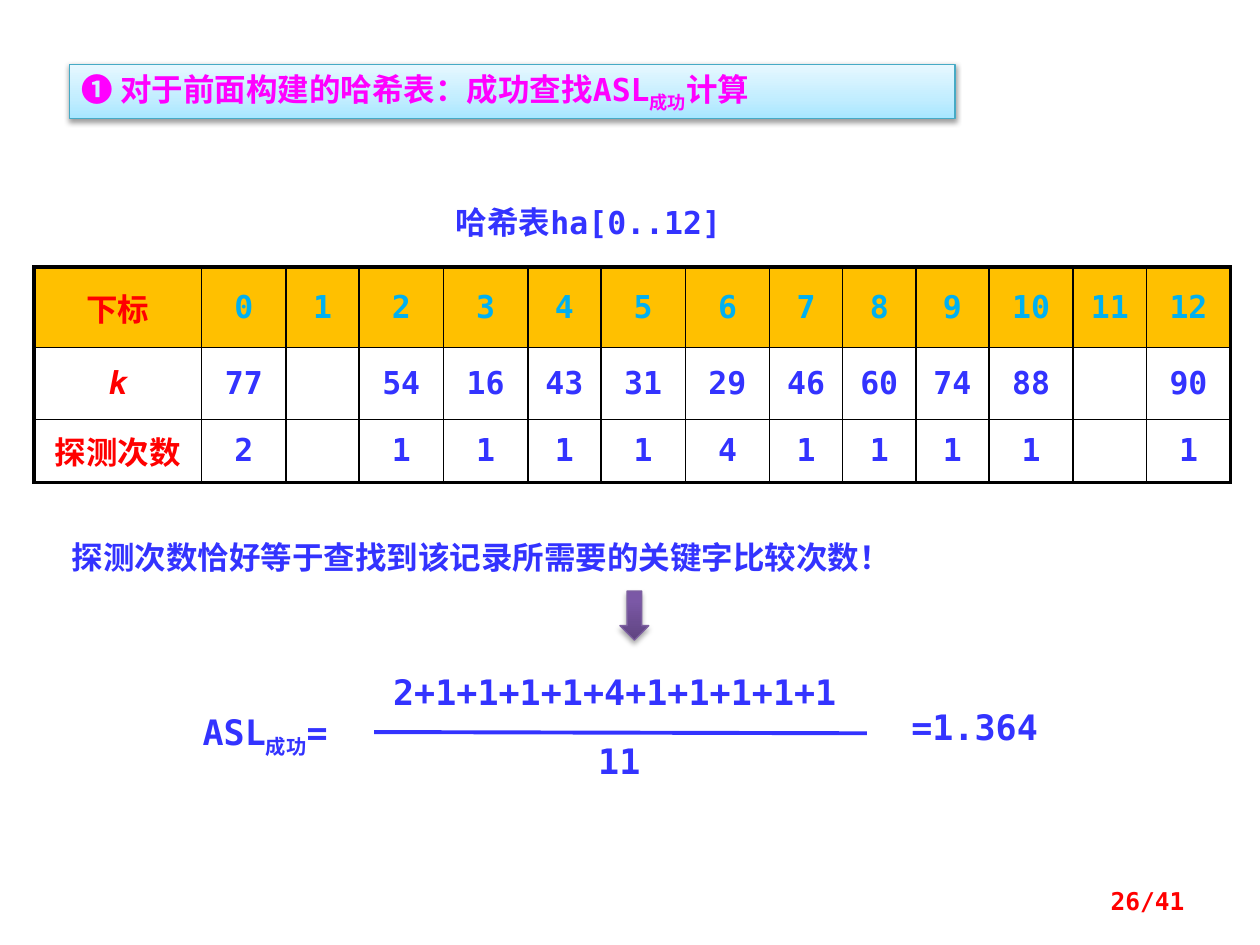
from dataclasses import dataclass
from lxml import etree
from pptx import Presentation
from pptx import util as u
from pptx.dml.color import RGBColor
from pptx.enum import shapes, text
from pptx.oxml import parse_xml
from pptx.oxml.ns import nsdecls, qn

HUES = {"ink": "3333FF", "red": "FF0000", "pink": "FF00FF", "sky": "00B0F0",
        "gold": "FFC000", "black": "000000", "teal": "46AAC5", "plum": "7D60A0"}
MONO, SANS = "DejaVu Sans Mono", "Noto Sans CJK JP"
ALIGN, MID = text.PP_ALIGN, text.MSO_ANCHOR.MIDDLE
WIDE, SLIM = 0.67, 0.58
COLS = [1.33, WIDE, SLIM, WIDE, WIDE, SLIM, WIDE, WIDE, SLIM, SLIM, SLIM, WIDE, SLIM, WIDE]
ROWS = [0.64, 0.57, 0.5]
KEYS = ["77", "", "54", "16", "43", "31", "29", "46", "60", "74", "88", "", "90"]
TRIES = ["2", "", "1", "1", "1", "1", "4", "1", "1", "1", "1", "", "1"]
DATA = [["下标"] + [str(n) for n in range(13)], ["k"] + KEYS, ["探测次数"] + TRIES]


@dataclass
class Label:
    """Text box; every second run is a subscript."""
    box: tuple
    runs: tuple
    size: int = 20
    hue: str = "ink"
    face: str = MONO
    align: ALIGN = ALIGN.CENTER
    anchor: text.MSO_ANCHOR = text.MSO_ANCHOR.TOP


@dataclass
class Block:
    """Preset shape with a gradient fill and a soft shadow."""
    kind: shapes.MSO_SHAPE
    box: tuple
    stops: tuple
    edge: str
    dist: float
    alpha: int


LABELS = [
    Label((3.52, 1.56, 2.89, 0.4), ("哈希表ha[0..12]",), 18, align=ALIGN.LEFT),
    Label((0.47, 4.22, 7.58, 0.4), ("探测次数恰好等于查找到该记录所需要的关键字比较次数！",),
          18, face=SANS, align=ALIGN.LEFT),
    Label((1.09, 5.59, 2.03, 0.44), ("ASL", "成功", "=")),
    Label((2.81, 5.27, 4.14, 0.44), ("2+1+1+1+1+4+1+1+1+1+1",)),
    Label((4.37, 5.82, 1.09, 0.44), ("11",)),
    Label((7.03, 5.55, 1.41, 0.44), ("=1.364",)),
    Label((7.17, 6.95, 2.33, 0.4), ("26/41",), 14, "red", align=ALIGN.RIGHT, anchor=MID),
]
TITLE = Label((0.55, 0.51, 7.03, 0.43), ("❶ 对于前面构建的哈希表：成功查找ASL", "成功", "计算"),
              18, "pink", align=ALIGN.JUSTIFY)
BANNER = Block(shapes.MSO_SHAPE.RECTANGLE, TITLE.box,
               ((0, "A7E6FF"), (35, "C1EDFF"), (100, "E7F8FF")), "teal", 1.6, 38)
ARROW = Block(shapes.MSO_SHAPE.DOWN_ARROW, (4.92, 4.69, 0.23, 0.39),
              ((0, "5F4480"), (80, "7B58A6"), (100, "7C57A8")), "plum", 1.8, 35)


def rgb(hue: str) -> RGBColor:
    """Look up a colour."""
    return RGBColor.from_string(HUES[hue])


def style(para, size: int, hue: str, face: str, align) -> None:
    """Set the look of a paragraph."""
    para.alignment = align
    font = para.font
    font.size, font.name, font.bold = u.Pt(size), face, True
    font.color.rgb = rgb(hue)


def write(frame, item: Label) -> None:
    """Fill a text frame from a label."""
    frame.word_wrap = True
    frame.vertical_anchor = item.anchor
    para = frame.paragraphs[0]
    for i, part in enumerate(item.runs):
        run = para.add_run()
        run.text = part
        if i % 2:
            run._r.get_or_add_rPr().set("baseline", "-25000")
    style(para, item.size, item.hue, item.face, item.align)


def draw_label(slide, item: Label) -> None:
    """Draw one text box."""
    box = slide.shapes.add_textbox(*map(u.Inches, item.box))
    write(box.text_frame, item)


def draw_block(slide, item: Block):
    """Draw one gradient shape."""
    shape = slide.shapes.add_shape(item.kind, *map(u.Inches, item.box))
    shape.line.color.rgb = rgb(item.edge)
    shape.line.width = u.Pt(0.75)
    stops = "".join(f'<a:gs pos="{pos * 1000}"><a:srgbClr val="{hue}"/></a:gs>'
                    for pos, hue in item.stops)
    grad = parse_xml(f'<a:gradFill {nsdecls("a")} rotWithShape="1"><a:gsLst>{stops}</a:gsLst>'
                     '<a:lin ang="16200000" scaled="0"/></a:gradFill>')
    props = shape._element.spPr
    props.find(qn("a:prstGeom")).addnext(grad)
    props.append(parse_xml(
        f'<a:effectLst {nsdecls("a")}><a:outerShdw blurRad="{u.Pt(3.1)}" '
        f'dist="{u.Pt(item.dist)}" dir="5400000" rotWithShape="0"><a:srgbClr val="000000">'
        f'<a:alpha val="{item.alpha * 1000}"/></a:srgbClr></a:outerShdw></a:effectLst>'))
    return shape


def edge(cell, side: str, width: float) -> None:
    """Add one border to a cell."""
    cell._tc.get_or_add_tcPr().append(parse_xml(
        f'<a:ln{side} {nsdecls("a")} w="{u.Pt(width)}"><a:solidFill>'
        f'<a:srgbClr val="{HUES["black"]}"/></a:solidFill></a:ln{side}>'))


def draw_table(slide) -> None:
    """Draw the hash table with a heavy outer frame."""
    sizes = map(u.Inches, (0.27, 2.12, sum(COLS), sum(ROWS)))
    table = slide.shapes.add_table(len(ROWS), len(COLS), *sizes).table
    table.first_row = table.horz_banding = False
    for col, width in zip(table.columns, COLS):
        col.width = u.Inches(width)
    for r, (row, high) in enumerate(zip(table.rows, ROWS)):
        row.height = u.Inches(high)
        for c, cell in enumerate(row.cells):
            outer = {"L": c == 0, "R": c == len(COLS) - 1, "T": r == 0, "B": r == len(ROWS) - 1}
            for side, heavy in outer.items():
                edge(cell, side, 2.25 if heavy else 1)
            if r == 0:
                cell.fill.solid()
                cell.fill.fore_color.rgb = rgb("gold")
            else:
                cell.fill.background()
            cell.vertical_anchor = MID
            cell.text = DATA[r][c]
            para = cell.text_frame.paragraphs[0]
            hue = "red" if c == 0 else "ink" if r else "sky"
            style(para, 18, hue, MONO, ALIGN.CENTER)
            para.font.italic = DATA[r][c] == "k"


def draw_bar(slide) -> None:
    """Draw the fraction bar."""
    ends = map(u.Inches, (2.97, 5.81, 6.88, 5.82))
    bar = slide.shapes.add_connector(shapes.MSO_CONNECTOR.STRAIGHT, *ends)
    bar.line.color.rgb = rgb("ink")
    bar.line.width = u.Pt(2.25)
    etree.SubElement(bar._element.spPr, qn("a:effectLst"))


def main() -> None:
    """Build the slide."""
    deck = Presentation()
    deck.slide_width, deck.slide_height = u.Inches(10), u.Inches(7.5)
    slide = deck.slides.add_slide(deck.slide_layouts[6])
    draw_table(slide)
    write(draw_block(slide, BANNER).text_frame, TITLE)
    for item in LABELS:
        draw_label(slide, item)
    draw_bar(slide)
    draw_block(slide, ARROW)
    deck.save("out.pptx")


if __name__ == "__main__":
    main()
